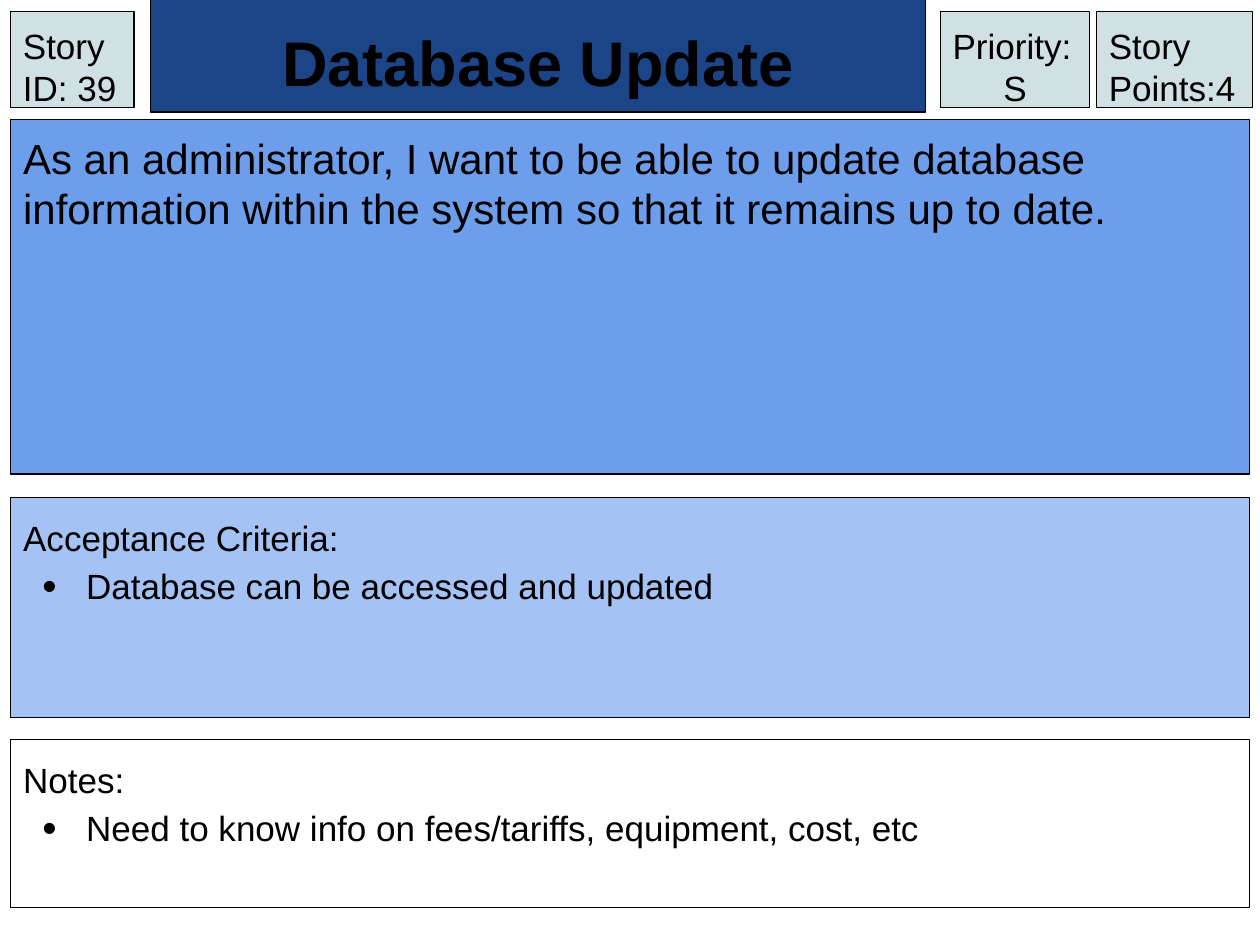
import pptx
import pptx.util
import pptx.dml.color
import pptx.enum.shapes
import pptx.enum.text
import pptx.oxml.ns
import lxml.etree

Pt = pptx.util.Pt
PP_ALIGN = pptx.enum.text.PP_ALIGN
ANCHOR = pptx.enum.text.MSO_ANCHOR
COLORS = {
    "ink": "000000",
    "title": "1C4587",
    "story": "6D9EEB",
    "criteria": "A4C2F4",
    "tag": "D0E0E3",
}


def rgb(name):
    """Return the named colour."""
    return pptx.dml.color.RGBColor.from_string(COLORS[name])


def style_box(shape, box, fill, anchor=ANCHOR.TOP):
    """Place a card region and give it its fill, outline and text frame."""
    shape.left, shape.top, shape.width, shape.height = map(Pt, box)
    if fill:
        shape.fill.solid()
        shape.fill.fore_color.rgb = rgb(fill)
    else:
        shape.fill.background()
    shape.line.color.rgb = rgb("ink")
    shape.line.width = Pt(0.75)
    frame = shape.text_frame
    frame.word_wrap = True
    frame.auto_size = pptx.enum.text.MSO_AUTO_SIZE.SHAPE_TO_FIT_TEXT
    frame.vertical_anchor = anchor
    frame.margin_left = frame.margin_right = Pt(7.2)
    frame.margin_top = frame.margin_bottom = Pt(7.2)
    return frame


def style_paragraph(paragraph, size, align=PP_ALIGN.LEFT, bold=False, spacing=1):
    """Set the type and spacing of a paragraph."""
    paragraph.alignment = align
    paragraph.line_spacing = spacing
    paragraph.space_before = paragraph.space_after = Pt(0)
    font = paragraph.font
    font.name = "Arial"
    font.size = Pt(size)
    font.bold = bold
    font.color.rgb = rgb("ink")


def set_indent(paragraph, left=0, hanging=0, bullet=False):
    """Set the indents of a paragraph and switch its bullet on or off."""
    properties = paragraph._p.get_or_add_pPr()
    properties.set("marL", str(int(Pt(left))))
    properties.set("indent", str(-int(Pt(hanging))))

    def add(parent, tag, **attributes):
        return lxml.etree.SubElement(parent, pptx.oxml.ns.qn(tag), attributes)

    if bullet:
        add(add(properties, "a:buClr"), "a:srgbClr", val=COLORS["ink"])
        add(properties, "a:buSzPct", val="117000")
        add(properties, "a:buFont", typeface="Arial")
        add(properties, "a:buChar", char="•")
    else:
        add(properties, "a:buNone")


def add_title(title, box, text):
    """Fill the title bar."""
    frame = style_box(title, box, "title", ANCHOR.BOTTOM)
    frame.text = text
    set_indent(frame.paragraphs[0])
    style_paragraph(frame.paragraphs[0], 36, PP_ALIGN.CENTER, True)


def add_story(body, box, text):
    """Fill the user story panel."""
    frame = style_box(body, box, "story")
    frame.text = text
    set_indent(frame.paragraphs[0])
    style_paragraph(frame.paragraphs[0], 24)


def add_list_panel(body, box, fill, heading, item):
    """Fill a panel with a heading and a bulleted item."""
    frame = style_box(body, box, fill)
    frame.text = f"{heading}\n{item}"
    heading_line, item_line = frame.paragraphs
    set_indent(heading_line, 27, 27)
    set_indent(item_line, 36, 25, bullet=True)
    for paragraph in frame.paragraphs:
        style_paragraph(paragraph, 20, spacing=1.15)


def add_tag(slide, box, lines):
    """Add a small tag whose lines after the first are centred."""
    tag = slide.shapes.add_shape(
        pptx.enum.shapes.MSO_SHAPE.RECTANGLE, *map(Pt, box))
    tag.shadow.inherit = False
    frame = style_box(tag, box, "tag")
    frame.text = "\n".join(lines)
    for index, paragraph in enumerate(frame.paragraphs):
        style_paragraph(
            paragraph, 20, PP_ALIGN.CENTER if index else PP_ALIGN.LEFT)


def build_story_card(slide, box):
    """Lay out the whole story card within the given box."""
    left, top, width = box
    title, story, criteria, notes, spare = slide.placeholders
    spare._element.getparent().remove(spare._element)

    add_title(title, (left + 80, top, 442.8, 58.3), "Database Update")
    add_story(
        story, (left, top + 62.7, width, 209.5),
        "As an administrator, I want to be able to update database "
        "information within the system so that it remains up to date.")
    add_list_panel(
        criteria, (left, top + 278.7, width, 132.5), "criteria",
        "Acceptance Criteria:", "Database can be accessed and updated")
    add_list_panel(
        notes, (left, top + 417, width, 103), None,
        "Notes:", "Need to know info on fees/tariffs, equipment, cost, etc")

    tags = [
        (0, 70.6, ["Story ID: 39"]),
        (531.3, 85.5, ["Priority:", "S"]),
        (620.5, 89.3, ["Story Points:4"]),
    ]
    for offset, tag_width, lines in tags:
        add_tag(slide, (left + offset, top + 0.9, tag_width, 54.7), lines)


def main():
    """Build and save the deck."""
    deck = pptx.Presentation()
    deck.slide_width, deck.slide_height = Pt(720), Pt(540)
    slide = deck.slides.add_slide(deck.slide_layouts.get_by_name("Comparison"))
    build_story_card(slide, (6, 5.7, 708))
    deck.save("out.pptx")


if __name__ == "__main__":
    main()
